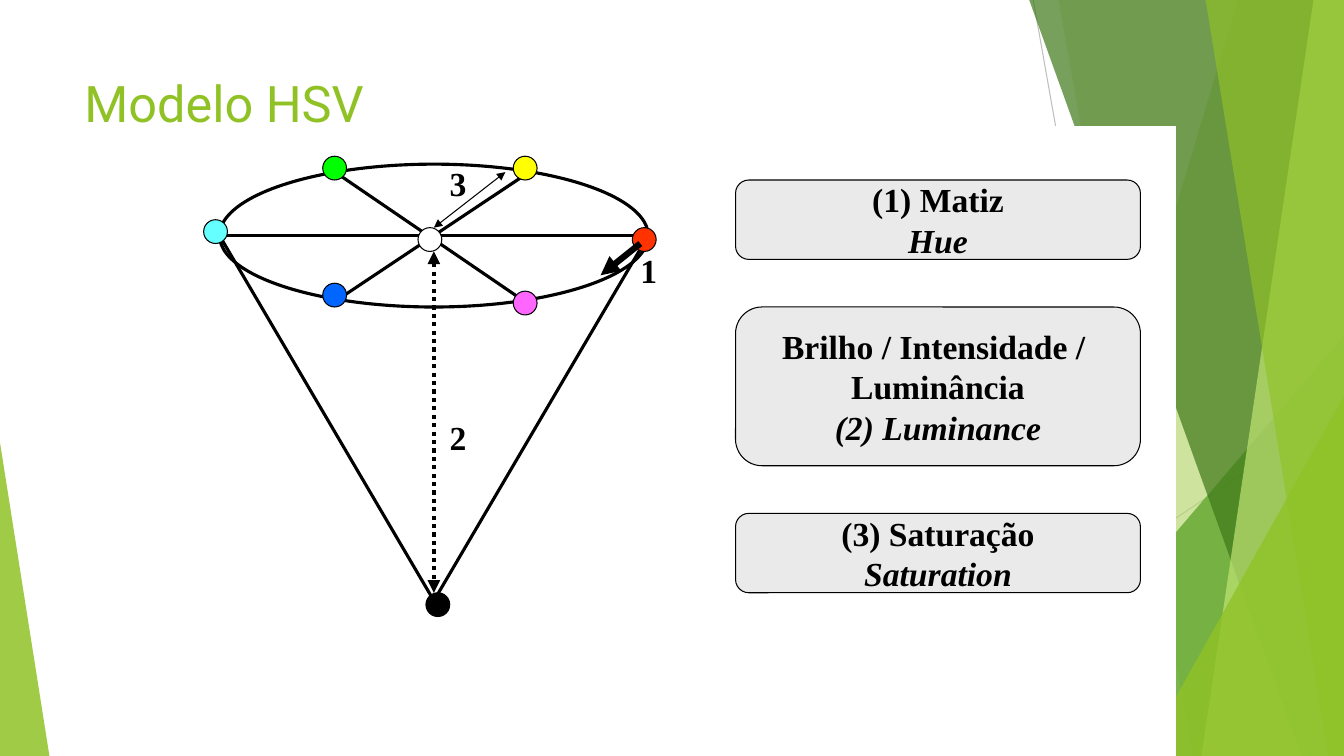
from lxml.etree import SubElement
from pptx import Presentation
from pptx.dml.color import RGBColor
from pptx.enum.dml import MSO_LINE
from pptx.enum.shapes import MSO_CONNECTOR, MSO_SHAPE
from pptx.enum.text import MSO_ANCHOR, MSO_AUTO_SIZE, PP_ALIGN
from pptx.oxml.ns import qn
from pptx.util import Inches, Mm, Pt

THEME = {
    "title_font": "Roboto", "body_font": "Times New Roman",
    "title_size": 36, "body_size": 24,
    "lime": "90C226", "green": "54A021", "forest": "3F7819", "pale": "C0E474",
    "white": "FFFFFF", "black": "000000", "card": "EAEAEA",
    "rule_dark": "BFBFBF", "rule_light": "D9D9D9",
    "thin": 0.75, "outline": 2.25, "dotted": 3, "bold": 4.5,
}

deck = Presentation()
deck.slide_width, deck.slide_height = Inches(13.33), Inches(7.5)
slide = deck.slides.add_slide(deck.slide_layouts[6])
shapes = slide.shapes
W, H = deck.slide_width, deck.slide_height

PERCENT = (0, 0, W / 100, H / 100)
MODEL = (Inches(2.02), Inches(1.55), Mm(2), Mm(2))


def draw_line(grid, ends, colour, width, heads=()):
    left, top, column, row = grid
    x1, y1, x2, y2 = ends
    line = shapes.add_connector(
        MSO_CONNECTOR.STRAIGHT,
        round(left + x1 * column), round(top + y1 * row),
        round(left + x2 * column), round(top + y2 * row))
    line.line.color.rgb = RGBColor.from_string(THEME[colour])
    line.line.width = Pt(THEME[width])
    if width == "dotted":
        line.line.dash_style = MSO_LINE.ROUND_DOT
    for head in heads:
        SubElement(line.line._get_or_add_ln(), qn(f"a:{head}"), type="triangle")
    SubElement(line._element.spPr, qn("a:effectLst"))


def write_text(frame, lines, role="body", colour="black", bold=True):
    frame.text = "\n".join(lines)
    for paragraph in frame.paragraphs:
        for run in paragraph.runs:
            run.font.name = THEME[f"{role}_font"]
            run.font.size = Pt(THEME[f"{role}_size"])
            run.font.color.rgb = RGBColor.from_string(THEME[colour])
            run.font.bold = bold


draw_line(PERCENT, (76.88, 0, 86.85, 100), "rule_dark", "thin")
draw_line(PERCENT, (100, 53.73, 60.9, 100), "rule_light", "thin")

facets = [
    ("panel", 92.1, 75.3, 0, "lime", 30),
    ("panel", 78.75, 88.73, 0, "lime", 20),
    ("peak", 73.28, 100, 44.4, "green", 72),
    ("panel", 76.58, 96.83, 0, "forest", 70),
    ("panel", 97.73, 89.4, 0, "pale", 70),
    ("panel", 89.7, 98.85, 0, "lime", 65),
    ("peak", 85.05, 100, 52.4, "lime", 80),
    ("peak", 0, 3.68, 58.53, "lime", 85),
]
for kind, first, second, top, colour, opacity in facets:
    x1, x2, y = round(first * W / 100), round(second * W / 100), round(top * H / 100)
    if kind == "panel":
        outline = shapes.build_freeform(x1, 0, scale=1.0)
        outline.add_line_segments([(W, 0), (W, H), (x2, H)], close=True)
        facet = outline.convert_to_shape()
    else:
        facet = shapes.add_shape(MSO_SHAPE.ISOSCELES_TRIANGLE, x1, y, x2 - x1, H - y)
        facet.adjustments[0] = 1 if second == 100 else 0
    facet.shadow.inherit = False
    facet.fill.solid()
    facet.fill.fore_color.rgb = RGBColor.from_string(THEME[colour])
    tint = facet._element.spPr.find(qn("a:solidFill"))[0]
    SubElement(tint, qn("a:alpha"), val=str(opacity * 1000))
    facet.line.fill.background()

backdrop = shapes.add_shape(
    MSO_SHAPE.RECTANGLE, round(W / 8), round(H / 6), round(W * 3 / 4), round(H * 5 / 6))
backdrop.shadow.inherit = False
backdrop.fill.solid()
backdrop.fill.fore_color.rgb = RGBColor.from_string(THEME["white"])
backdrop.line.fill.background()

title = shapes.add_textbox(
    round(W * 5.55 / 100), round(H * 8.93 / 100), round(W * 70.5 / 100), round(H * 19.2 / 100))
title.text_frame.word_wrap = True
write_text(title.text_frame, ["Modelo HSV"], "title", "lime", False)

cone_edges = [
    (2, 10, 56, 10), (2, 10, 29, 56), (56, 10, 29, 56),
    (17, 18, 41, 2), (17, 2.3, 40, 18),
]
for edge in cone_edges:
    draw_line(MODEL, edge, "black", "outline")

hues = [
    (28, 55, "000000"), (15, 0, "00FF00"), (39, 0, "FFFF00"), (54, 9, "FF3300"),
    (39, 17, "FF66FF"), (27, 9, "FFFFFF"), (0, 8, "66FFFF"), (15, 16, "0066FF"),
]
cards = [
    (19, 20, ["Brilho / Intensidade / ", "Luminância", "(2) Luminance"]),
    (3, 10, ["(1) Matiz", "Hue"]),
    (45, 10, ["(3) Saturação", "Saturation"]),
]
figures = [(MSO_SHAPE.OVAL, 2, 1, 54, 18, None, [])]
figures += [(MSO_SHAPE.OVAL, col, row, 3, 3, hue, []) for col, row, hue in hues]
figures += [(MSO_SHAPE.ROUNDED_RECTANGLE, 67, row, 51, height, THEME["card"], lines)
            for row, height, lines in cards]
left, top, column, line_step = MODEL
for preset, col, row, width, height, fill, lines in figures:
    figure = shapes.add_shape(
        preset, left + col * column, top + row * line_step, width * column, height * line_step)
    figure.shadow.inherit = False
    figure.line.color.rgb = RGBColor.from_string(THEME["black"])
    figure.line.width = Pt(THEME["thin" if fill else "outline"])
    if fill:
        figure.fill.solid()
        figure.fill.fore_color.rgb = RGBColor.from_string(fill)
    else:
        figure.fill.background()
    if lines:
        caption = figure.text_frame
        caption.word_wrap = False
        caption.vertical_anchor = MSO_ANCHOR.MIDDLE
        write_text(caption, lines)
        for paragraph in caption.paragraphs:
            paragraph.alignment = PP_ALIGN.CENTER
        caption.paragraphs[-1].runs[0].font.italic = True

draw_line(MODEL, (29, 12, 29, 55), "black", "dotted", ("headEnd", "tailEnd"))
draw_line(MODEL, (55, 11, 50, 15), "black", "bold", ("tailEnd",))
draw_line(MODEL, (38, 2, 29, 9), "black", "thin", ("headEnd", "tailEnd"))

for number, col, row in [("1", 53.75, 11.2), ("2", 29.75, 32.25), ("3", 29.75, 0.25)]:
    marker = shapes.add_textbox(
        round(left + col * column), round(top + row * line_step), Inches(0.37), Inches(0.5))
    marker.text_frame.word_wrap = False
    marker.text_frame.auto_size = MSO_AUTO_SIZE.SHAPE_TO_FIT_TEXT
    write_text(marker.text_frame, [number])

deck.save("out.pptx")
